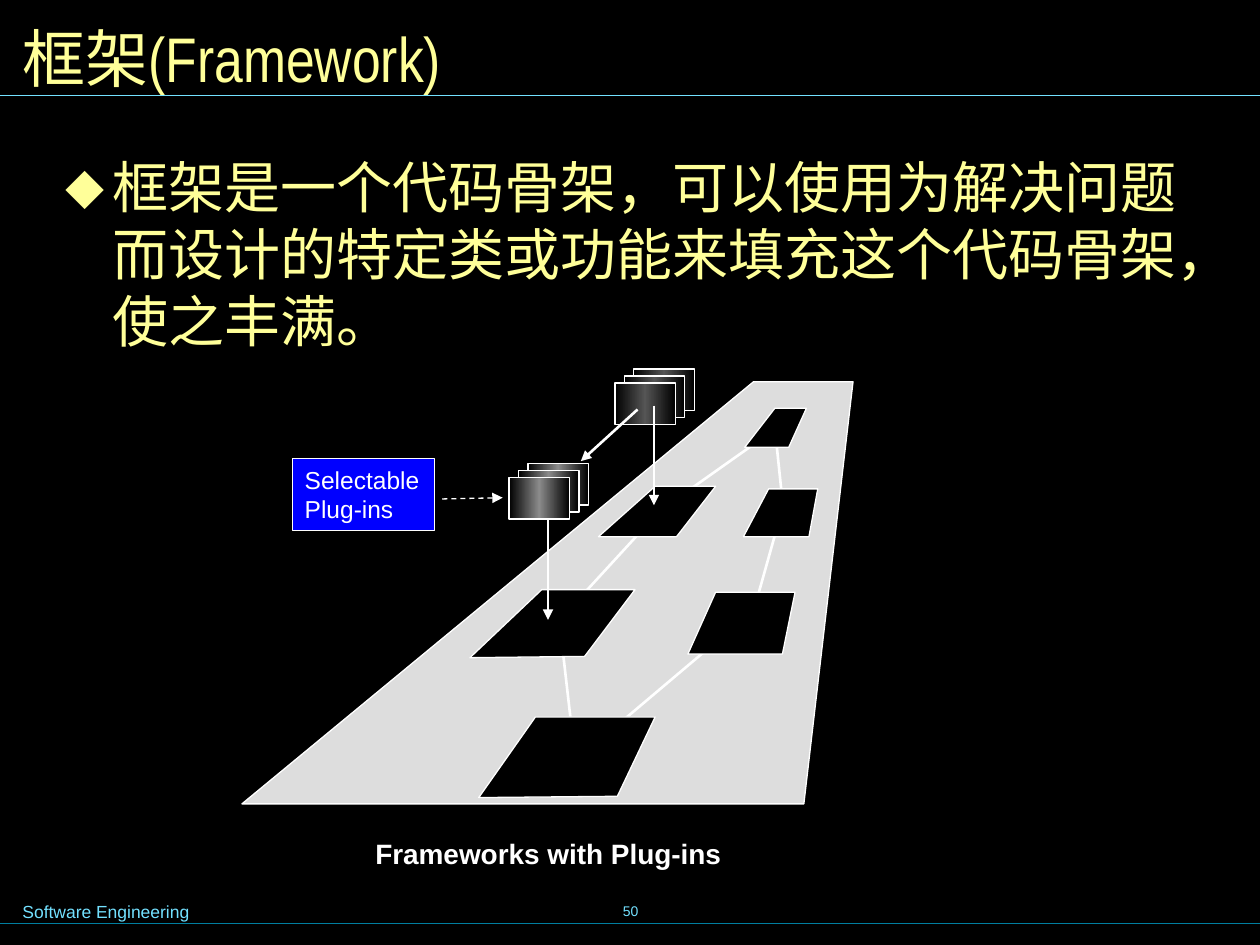
from copy import deepcopy
from dataclasses import dataclass

from pptx import Presentation
from pptx.dml.color import RGBColor
from pptx.enum.dml import MSO_LINE
from pptx.enum.shapes import MSO_CONNECTOR, MSO_SHAPE
from pptx.enum.text import MSO_ANCHOR, MSO_AUTO_SIZE, PP_ALIGN
from pptx.oxml.ns import qn
from pptx.util import Inches, Pt
from lxml import etree

STRAIGHT, RECT = MSO_CONNECTOR.STRAIGHT, MSO_SHAPE.RECTANGLE
DASH, NO_AUTOFIT = MSO_LINE.DASH, MSO_AUTO_SIZE.NONE
TOP, MIDDLE = MSO_ANCHOR.TOP, MSO_ANCHOR.MIDDLE
LEFT, CENTER = PP_ALIGN.LEFT, PP_ALIGN.CENTER


@dataclass(frozen=True)
class Theme:
    black: RGBColor = RGBColor(0x00, 0x00, 0x00)
    white: RGBColor = RGBColor(0xFF, 0xFF, 0xFF)
    yellow: RGBColor = RGBColor(0xFF, 0xFF, 0x99)
    cyan: RGBColor = RGBColor(0x73, 0xE1, 0xFF)
    teal: RGBColor = RGBColor(0x00, 0x7E, 0x9F)
    blue: RGBColor = RGBColor(0x00, 0x00, 0xFF)
    road: RGBColor = RGBColor(0xDD, 0xDD, 0xDD)
    light_sheen: RGBColor = RGBColor(0x8B, 0x8B, 0x8B)
    dark_sheen: RGBColor = RGBColor(0x55, 0x55, 0x55)
    font: str = "Arial"
    title_font: str = "Arial Narrow"
    title: int = 36
    body: int = 32
    caption: int = 16
    label: int = 14
    footer: int = 10
    page: int = 8
    thin: float = 0.75
    thick: float = 1.5


T = Theme()

prs = Presentation()
prs.slide_width, prs.slide_height = Inches(10), Inches(7.5)
s = prs.slides.add_slide(prs.slide_layouts[1])
s.background.fill.solid()
s.background.fill.fore_color.rgb = T.black


def add_line(x1, y1, x2, y2, color=T.white, width=T.thick, arrow=False):
    line = s.shapes.add_connector(STRAIGHT, Inches(x1), Inches(y1), Inches(x2), Inches(y2))
    line.line.color.rgb = color
    line.line.width = Pt(width)
    etree.SubElement(line._element.spPr, qn("a:effectLst"))
    if arrow:
        etree.SubElement(line.line._get_or_add_ln(), qn("a:tailEnd"), type="triangle")
    return line


def add_polygon(points, color):
    corners = [(Inches(x), Inches(y)) for x, y in points]
    builder = s.shapes.build_freeform(*corners[0], scale=1.0)
    builder.add_line_segments(corners[1:], close=True)
    sp = builder.convert_to_shape()
    sp.shadow.inherit = False
    sp.fill.solid()
    sp.fill.fore_color.rgb = color
    sp.line.color.rgb = T.white
    sp.line.width = Pt(T.thin)


# Rules under the title and the footer
add_line(0, 7.33, 10, 7.33, T.teal, T.thin)
add_line(0, 0.76, 10, 0.76, T.cyan, T.thin)

# Framework: a road with linked slots
add_polygon([(1.92, 6.38), (6.38, 6.38), (6.77, 3.03), (5.98, 3.03)], T.road)

for link in [
    (6.15, 3.4, 6.22, 4.07),
    (6.09, 3.45, 5.27, 4.03),
    (5.83, 4.97, 4.61, 6),
    (4.44, 4.93, 4.56, 5.98),
    (5.24, 4.05, 4.46, 4.9),
    (6.2, 4.07, 5.97, 4.89),
]:
    add_line(*link)

for slot in [
    [(3.73, 5.22), (4.64, 5.21), (5.04, 4.68), (4.3, 4.68)],
    [(4.75, 4.26), (5.37, 4.26), (5.68, 3.86), (5.2, 3.86)],
    [(5.91, 3.55), (6.26, 3.55), (6.4, 3.24), (6.15, 3.24)],
    [(5.9, 4.26), (6.42, 4.26), (6.49, 3.88), (6.1, 3.88)],
    [(5.68, 4.7), (6.31, 4.7), (6.21, 5.19), (5.46, 5.19)],
    [(4.25, 5.69), (5.2, 5.69), (4.9, 6.32), (3.8, 6.33)],
]:
    add_polygon(slot, T.black)

# Stacks of plug-in cards, back card first
for left, top, sheen in [(4.19, 3.68, T.light_sheen), (5.03, 2.93, T.dark_sheen)]:
    stack = s.shapes.add_group_shape()
    for i in range(3):
        card = stack.shapes.add_shape(RECT, Inches(left - 0.075 * i), Inches(top + 0.055 * i),
                                      Inches(0.48), Inches(0.33))
        card.shadow.inherit = False
        card.line.color.rgb = T.white
        card.line.width = Pt(T.thin)
        card.fill.gradient()
        card.fill.gradient_angle = 0
        first = card.fill.gradient_stops[0]._gs
        first.addnext(deepcopy(first))
        for stop, position, color in zip(card.fill.gradient_stops, (0, 0.5, 1),
                                         (T.black, sheen, T.black)):
            stop.position = position
            stop.color.rgb = color

for arrow in [(4.35, 4.13, 4.35, 4.92), (5.19, 3.22, 5.19, 4.01), (5.06, 3.25, 4.61, 3.66)]:
    add_line(*arrow, arrow=True)
pointer = add_line(3.51, 3.96, 3.99, 3.95, width=T.thin, arrow=True)
pointer.line.dash_style = DASH

label = s.shapes.add_shape(RECT, 0, 0, 0, 0)
label.shadow.inherit = False
label.fill.solid()
label.fill.fore_color.rgb = T.blue
label.line.color.rgb = T.white
label.line.width = Pt(T.thin)

# Text
title, body = s.shapes.title, s.placeholders[1]
footer, page, caption = (s.shapes.add_textbox(0, 0, 0, 0) for _ in range(3))

body_pPr = body.text_frame.paragraphs[0]._p.get_or_add_pPr()
body_pPr.set("marL", str(Inches(0.37)))
body_pPr.set("indent", str(-Inches(0.37)))
bullet_color = etree.SubElement(body_pPr, qn("a:buClr"))
etree.SubElement(bullet_color, qn("a:srgbClr"), val=str(T.yellow))
etree.SubElement(body_pPr, qn("a:buChar"), char="⬥")

for sp, box, text, size, color, anchor, align, wrap in [
    (title, (0.08, 0.08, 9.84, 0.75), "框架(Framework)", T.title, T.yellow, MIDDLE, LEFT, True),
    (body, (0.4, 1.15, 9.29, 5.52),
     "框架是一个代码骨架，可以使用为解决问题而设计的特定类或功能来填充这个代码骨架，使之丰满。",
     T.body, T.yellow, TOP, LEFT, True),
    (label, (2.32, 3.64, 1.13, 0.57), "Selectable Plug-ins", T.label, T.white, TOP, LEFT, True),
    (caption, (2.88, 6.59, 3.01, 0.37), "Frameworks with Plug-ins", T.caption, T.white,
     TOP, LEFT, False),
    (footer, (0.08, 7.1, 2.95, 0.27), "Software Engineering", T.footer, T.cyan, TOP, LEFT, True),
    (page, (3.42, 6.98, 3.17, 0.5), "50", T.page, T.cyan, MIDDLE, CENTER, False),
]:
    sp.left, sp.top, sp.width, sp.height = map(Inches, box)
    tf = sp.text_frame
    tf.auto_size = NO_AUTOFIT
    tf.word_wrap = wrap
    tf.vertical_anchor = anchor
    pad = 0.12 if sp is body else 0.1
    tf.margin_left = tf.margin_right = Inches(pad)
    tf.margin_top = tf.margin_bottom = Inches(pad / 2)
    p = tf.paragraphs[0]
    p.alignment = align
    p.space_before = Pt(0)
    r = p.add_run()
    r.text = text
    r.font.name = T.title_font if sp is title else T.font
    r.font.size = Pt(size)
    r.font.bold = sp is caption
    r.font.color.rgb = color

prs.save("out.pptx")
